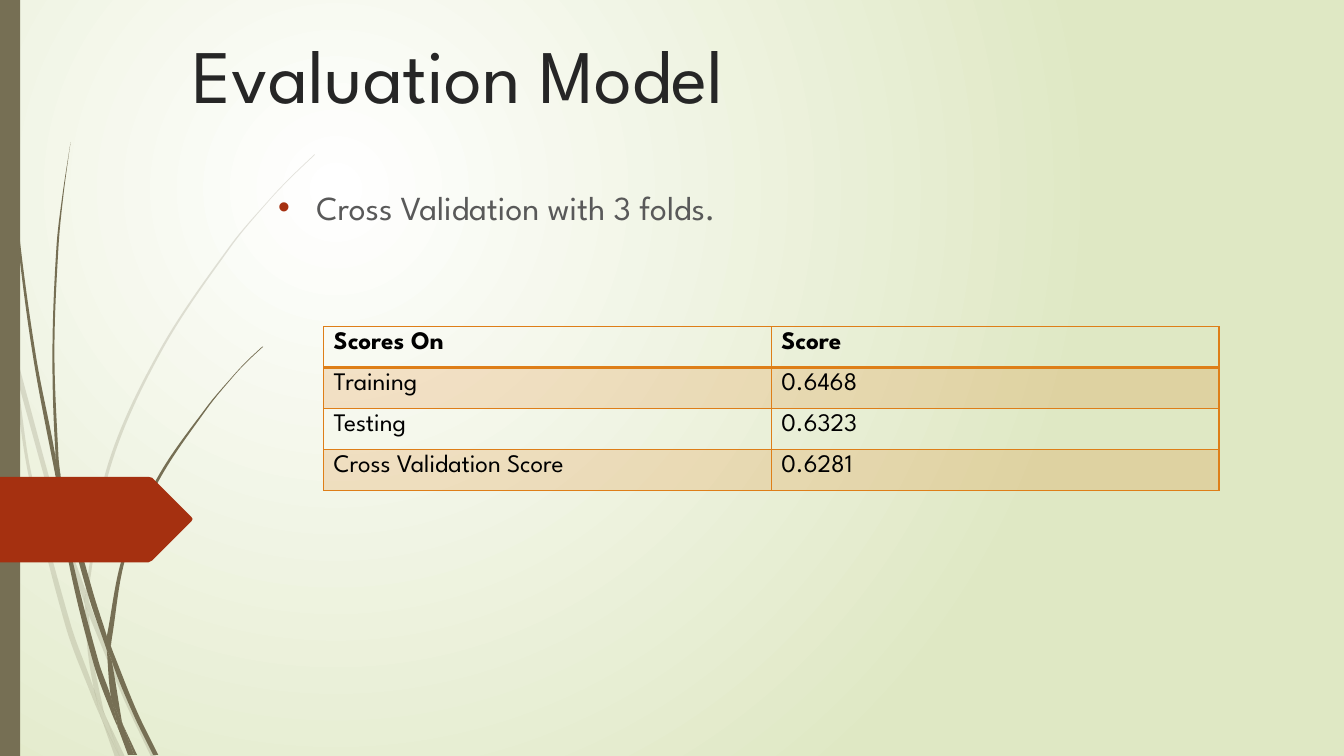
from math import dist
from lxml.etree import SubElement as Sub
from pptx import Presentation
from pptx.dml.color import RGBColor
from pptx.enum.shapes import MSO_SHAPE as Kind
from pptx.enum.text import MSO_ANCHOR as Anchor
from pptx.oxml.ns import qn
from pptx.util import Pt

PX = 9144  # 100 px to the inch
WIDE, HIGH = 1333, 750
FACE = "League Spartan"
OLIVE, RED, ORANGE = "766F54", "A53010", "DE7E18"

# Each blade part is a pair of edges that run from end to end.
PALE = [
    ([(11, 350), (9, 322), (0, 282)], [(0, 299), (10, 344), (11, 350)]),
    ([(17, 376), (58, 522), (84, 599)], [(85, 586), (62, 520), (14, 345)]),
    ([(88, 610), (123, 694), (150, 751)],
     [(155, 751), (127, 692), (92, 607), (88, 596)]),
    ([(105, 711), (119, 751)], [(124, 751), (105, 711)]),
    ([(11, 350), (28, 470), (65, 621), (92, 693), (101, 714)],
     [(101, 714), (99, 707), (93, 683), (70, 619), (31, 469), (17, 376), (11, 350)]),
    ([(84, 599), (87, 646), (93, 683), (96, 692), (105, 711)],
     [(105, 711), (103, 706), (91, 646), (88, 610), (84, 599)]),
    ([(88, 596), (88, 584), (110, 462), (160, 349), (229, 245), (268, 198),
      (290, 175), (312, 154)],
     [(312, 153), (289, 175), (268, 197), (228, 244), (158, 348), (107, 461),
      (85, 584), (85, 586)]),
    ([(101, 714), (114, 751)], [(119, 751), (101, 714)]),
    ([(88, 608), (88, 610), (88, 596)], [(85, 586), (84, 599), (88, 608)]),
    ([(93, 683), (99, 707), (101, 714), (119, 751)],
     [(119, 751), (105, 711), (96, 692), (93, 683)]),
]
DARK = [
    ([(3, 0), (4, 48), (7, 110), (17, 233), (33, 355), (56, 477), (57, 481)],
     [(57, 481), (55, 453), (36, 355), (19, 232), (8, 109), (5, 48), (4, 0)]),
    ([(64, 505), (88, 592), (106, 645)],
     [(106, 633), (106, 631), (93, 590), (60, 472)]),
    ([(110, 641), (111, 656), (132, 708), (152, 749)],
     [(157, 749), (136, 706), (113, 649), (110, 641)]),
    ([(57, 477), (68, 557), (93, 659), (111, 708), (117, 722)],
     [(117, 722), (116, 717), (110, 691), (98, 657), (72, 556), (64, 505), (57, 477)]),
    ([(60, 472), (58, 453), (54, 349), (58, 245), (63, 193), (70, 141)],
     [(70, 141), (62, 193), (56, 245), (52, 349), (55, 449), (60, 472)]),
    ([(122, 719), (133, 749)], [(136, 749), (122, 719)]),
    ([(55, 449), (55, 453), (57, 477), (64, 505)], [(64, 505), (60, 472), (55, 449)]),
    ([(110, 641), (111, 633), (125, 552), (158, 476), (205, 406), (231, 374),
      (245, 359), (261, 344)],
     [(260, 344), (245, 358), (231, 373), (204, 405), (156, 474), (122, 551),
      (106, 631)]),
    ([(117, 722), (127, 749)], [(131, 749), (117, 722)]),
    ([(106, 645), (110, 691), (116, 706), (122, 719)],
     [(122, 719), (121, 716), (111, 656), (109, 651), (106, 645)]),
    ([(106, 645), (109, 651), (111, 656)], [(110, 641), (106, 631), (106, 645)]),
    ([(110, 691), (116, 717), (117, 722), (130, 749)],
     [(133, 749), (122, 719), (116, 706), (110, 691)]),
]
ARROW = [(0, 473), (147, 473), (151, 474), (190, 513), (191, 515), (190, 517),
         (151, 556), (147, 558), (0, 558)]
ROWS = [("Scores On", "Score"), ("Training", "0.6468"), ("Testing", "0.6323"),
        ("Cross Validation Score", "0.6281")]


def emu(*vals):
    return [round(v * PX) for v in vals]


def rgb(code):
    return RGBColor.from_string(code)


def paint(shape, color, alpha=100):
    shape.shadow.inherit = False
    shape.line.fill.background()
    shape.fill.solid()
    shape.fill.fore_color.rgb = rgb(color)
    fade(shape._element.spPr, alpha)


def fade(props, alpha):
    """Set the opacity, in percent, of the solid fill in props."""
    if alpha < 100:
        tone = props.find(qn("a:solidFill")).find(qn("a:srgbClr"))
        Sub(tone, qn("a:alpha"), val=str(alpha * 1000))


def outline(slide, points, color, alpha=100):
    first, *rest = [emu(*p) for p in points]
    pen = slide.shapes.build_freeform(*first)
    pen.add_line_segments(rest)
    shape = pen.convert_to_shape()
    paint(shape, color, alpha)
    return shape


def lean(knot, start, goal, reach):
    """Move from knot by reach, in the direction from start to goal."""
    part = reach / dist(start, goal)
    return [k + (g - s) * part for k, s, g in zip(knot, start, goal)]


def bends(knots):
    """Give the two handles of each smooth segment between the knots."""
    ends = [knots[0], *knots, knots[-1]]
    for a, b, c, d in zip(ends, ends[1:], ends[2:], ends[3:]):
        reach = dist(b, c) / 3
        yield lean(b, a, c, reach), lean(c, d, b, reach)


def blade(slide, left, right, alpha):
    tip = left[-1] == right[0]
    shape = outline(slide, left + right[tip:], OLIVE, alpha)
    joins = [] if tip else [None]
    pairs = [*bends(left), *joins, *bends(right)]
    lines = list(shape._element.iter(qn("a:lnTo")))
    for line, pair in zip(lines, pairs):
        if pair:
            line.tag = qn("a:cubicBezTo")
            for spot, knob in enumerate(pair):
                x, y = emu(*knob)
                dot = Sub(line, qn("a:pt"), x=str(x - shape.left), y=str(y - shape.top))
                line.insert(spot, dot)


def backdrop(slide):
    fill = slide.background.fill
    fill.gradient()
    for stop, color in zip(fill.gradient_stops, ("FFFFFF", "DFE8C4")):
        stop.color.rgb = rgb(color)
    grad = next(slide._element.iter(qn("a:gradFill")))
    grad.remove(grad.find(qn("a:lin")))
    ring = Sub(grad, qn("a:path"), path="circle")
    Sub(ring, qn("a:fillToRect"), l="50000", t="50000", r="100000", b="100000")


def style(para, size, color, bold=False):
    look = {"name": FACE, "size": Pt(size), "bold": bold}
    for run in para.runs:
        for key, val in look.items():
            setattr(run.font, key, val)
        run.font.color.rgb = rgb(color)


def label(slide, box, text, size, color, **frame):
    body = slide.shapes.add_textbox(*emu(*box)).text_frame
    for key, val in {"word_wrap": True, **frame}.items():
        setattr(body, key, val)
    para = body.paragraphs[0]
    para.text = text
    style(para, size, color)
    return para


def bullet(para, color, indent):
    props = para._p.get_or_add_pPr()
    props.set("marL", str(indent * PX))
    props.set("indent", str(-indent * PX))
    Sub(Sub(props, qn("a:buClr")), qn("a:srgbClr"), val=color)
    Sub(props, qn("a:buFont"), typeface="Arial")
    Sub(props, qn("a:buChar"), char="•")


def border(cell, widths):
    """Draw the four sides; widths maps L, R, T and B to points."""
    props = cell._tc.get_or_add_tcPr()
    for side, width in widths.items():
        line = Sub(props, qn("a:ln" + side), w=str(Pt(width)))
        Sub(Sub(line, qn("a:solidFill")), qn("a:srgbClr"), val=ORANGE)


def scores(slide, box):
    table = slide.shapes.add_table(len(ROWS), len(ROWS[0]), *emu(*box)).table
    table.first_row = table.horz_banding = False
    for r, row in enumerate(ROWS):
        for c, text in enumerate(row):
            cell = table.cell(r, c)
            cell.text = text
            style(cell.text_frame.paragraphs[0], 18, "000000", r == 0)
            border(cell, {"L": 1, "R": 1, "T": 1 + (r == 1), "B": 1 + (r == 0)})
            if r % 2:
                cell.fill.solid()
                cell.fill.fore_color.rgb = rgb(ORANGE)
                fade(cell._tc.tcPr, 20)
            else:
                cell.fill.background()


def main():
    deck = Presentation()
    deck.slide_width, deck.slide_height = emu(WIDE, HIGH)
    slide = deck.slides.add_slide(deck.slide_layouts[6])
    backdrop(slide)
    for blades, alpha in ((PALE, 20), (DARK, 100)):
        for left, right in blades:
            blade(slide, left, right, alpha)
    paint(slide.shapes.add_shape(Kind.RECTANGLE, *emu(0, 0, 20, HIGH)), OLIVE)
    outline(slide, ARROW, RED)
    label(slide, (181, 19, 1000, 194), "Evaluation Model", 54, "262626",
          vertical_anchor=Anchor.BOTTOM, margin_bottom=95 * PX)
    para = label(slide, (266, 180, 1000, 181), "Cross Validation with 3 folds.",
                 24, "595959")
    bullet(para, RED, 38)
    scores(slide, (321, 324, 888, 163))
    deck.save("out.pptx")


if __name__ == "__main__":
    main()
